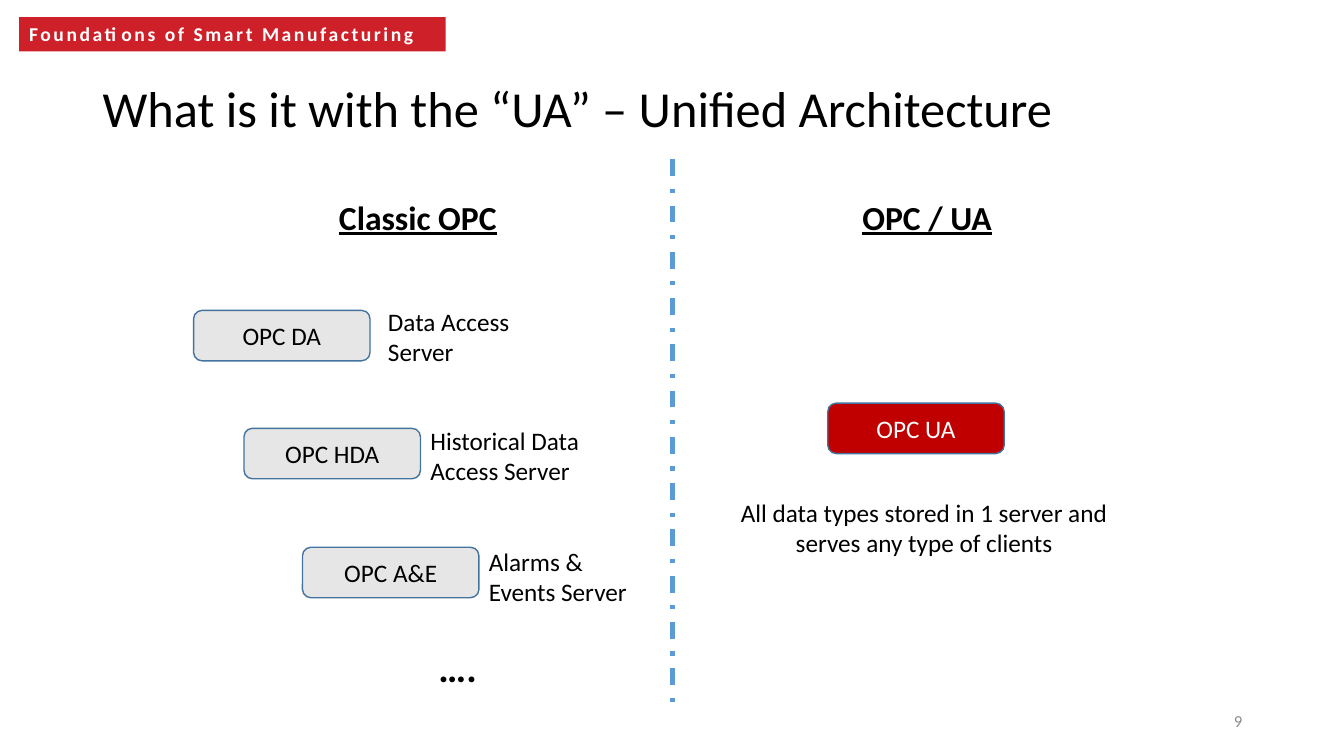
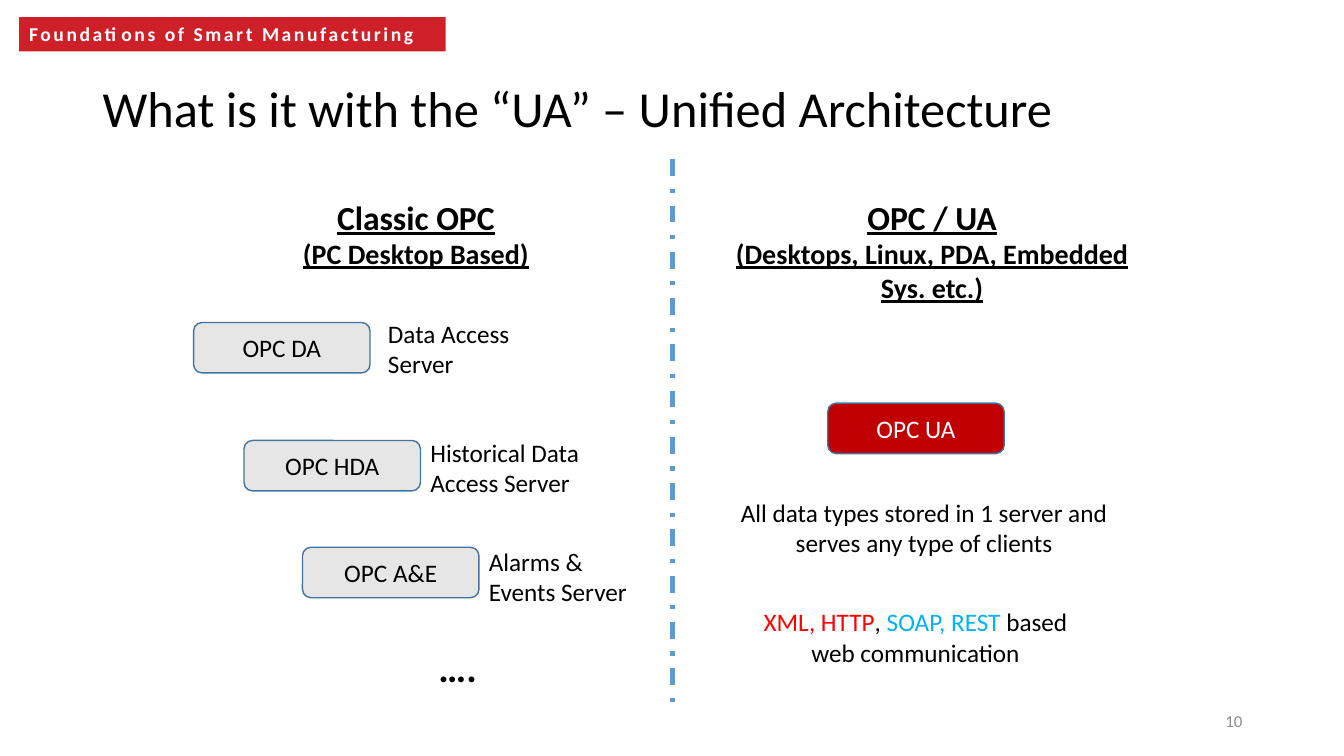
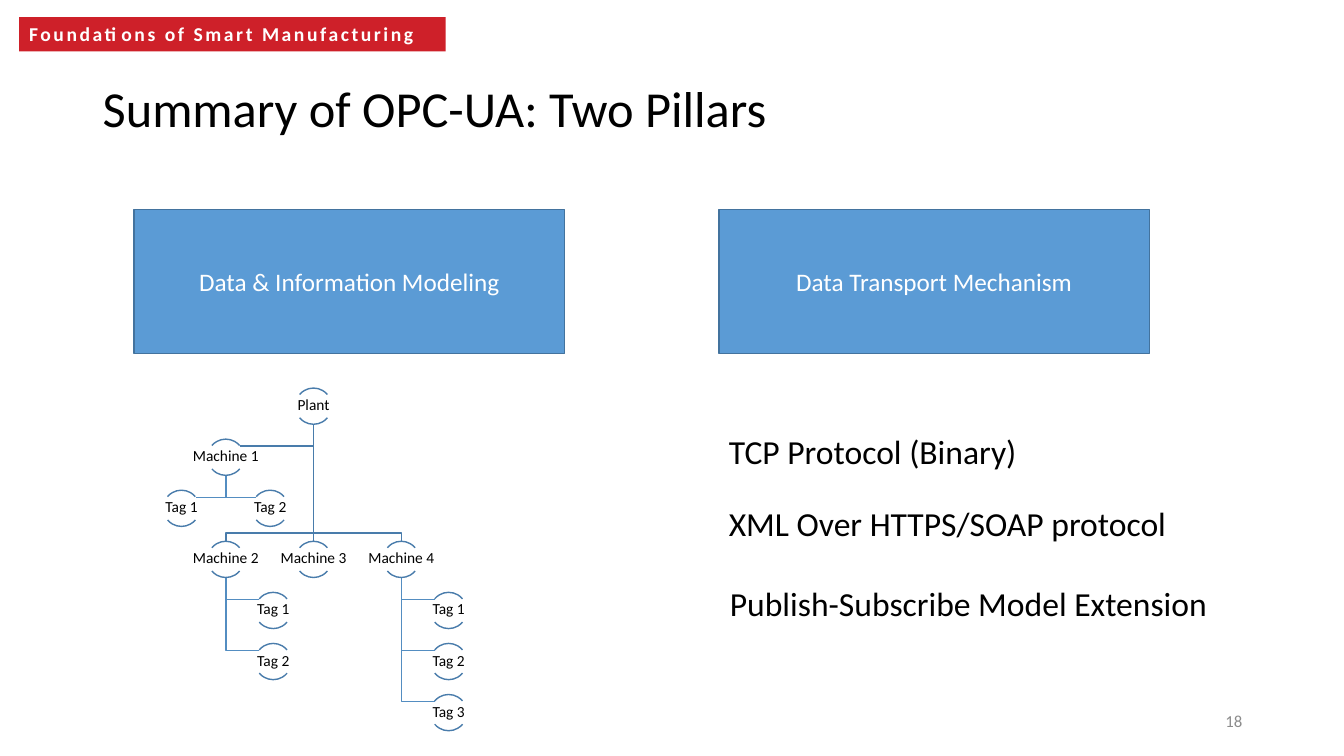
from lxml import etree
from pptx import Presentation
from pptx.dml.color import RGBColor
from pptx.enum import dml, shapes, text
from pptx.oxml.ns import qn
from pptx.util import Inches, Pt

BLACK = RGBColor(0x00, 0x00, 0x00)
WHITE = RGBColor(0xFF, 0xFF, 0xFF)
CRIMSON = RGBColor(0xCE, 0x20, 0x29)
MAROON = RGBColor(0xC0, 0x00, 0x00)
RED = RGBColor(0xFF, 0x00, 0x00)
CYAN = RGBColor(0x00, 0xB0, 0xF0)
BLUE = RGBColor(0x5B, 0x9B, 0xD5)
EDGE = RGBColor(0x43, 0x73, 0x9E)
NODE = RGBColor(0x49, 0x7C, 0xAB)
TWIG = RGBColor(0x53, 0x8D, 0xC1)
SILVER = RGBColor(0xE7, 0xE6, 0xE6)
GRAY = RGBColor(0x8C, 0x8C, 0x8C)
FONT = "Calibri"

KIND = shapes.MSO_SHAPE
LEFT, MID, RIGHT = text.PP_ALIGN.LEFT, text.PP_ALIGN.CENTER, text.PP_ALIGN.RIGHT
TOP, CENTER = text.MSO_ANCHOR.TOP, text.MSO_ANCHOR.MIDDLE

COURSE = "Foundations of Smart Manufacturing"
UA_TITLE = "What is it with the “UA” – Unified Architecture"

# server, box left, label, label left, label rise above the box
SERVERS = [
    ("OPC DA", 1.92, "Data Access Server", 3.75, 0.09),
    ("OPC HDA", 2.42, "Historical Data Access Server", 4.17, 0.08),
    ("OPC A&E", 3, "Alarms & Events Server", 4.75, 0.06),
]
SMALL = {"size": 20}
COMPARE = [
    {"num": "9", "tops": (3.08, 4.25, 5.43),
     "heads": [((2.98, 1.9, 2.33, 0.5), ["Classic OPC"]),
               ((8.03, 1.9, 2.33, 0.5), ["OPC / UA"])],
     "web": None},
    {"num": "10", "tops": (3.2, 4.37, 5.43),
     "heads": [((2, 1.9, 4.25, 0.84),
                ["Classic OPC", [("(PC Desktop Based)", SMALL)]]),
               ((7.08, 1.9, 4.33, 1.18),
                ["OPC / UA",
                 [("(Desktops, Linux, PDA, Embedded Sys. etc.)", SMALL)]])],
     "web": [("XML, HTTP", {"color": RED}), (", ", {}),
             ("SOAP, REST ", {"color": CYAN}),
             ("based web communication", {})]},
]
PILLARS = [("Data & Information Modeling", 1.33),
           ("Data Transport Mechanism", 7.13)]
MODES = [("TCP Protocol (Binary)", 7.13, 4.23, 3.81),
         ("XML Over HTTPS/SOAP protocol", 7.13, 4.94, 4.56),
         ("Publish-Subscribe Model Extension", 7.14, 5.73, 5.55)]

# label, centre x, row, index of parent, side of the node that the link meets
COL, HALF, HANG, ROOT = 0.87, 0.44, 0.47, 3.11
WEST, EAST = ROOT - COL, ROOT + COL
TREE = [
    ("Plant", ROOT, 0, None, None),
    ("Machine 1", WEST, 1, 0, "right"),
    ("Tag 1", WEST - HALF, 2, 1, "right"),
    ("Tag 2", WEST + HALF, 2, 1, "left"),
    ("Machine 2", WEST, 3, 0, "top"),
    ("Machine 3", ROOT, 3, 0, "top"),
    ("Machine 4", EAST, 3, 0, "top"),
    ("Tag 1", WEST + HANG, 4, 4, "left"),
    ("Tag 2", WEST + HANG, 5, 4, "left"),
    ("Tag 1", EAST + HANG, 4, 6, "left"),
    ("Tag 2", EAST + HANG, 5, 6, "left"),
    ("Tag 3", EAST + HANG, 6, 6, "left"),
]
RING = 0.36
ARCS = [(132, 192), (24, 84)]


def write(slide, at, lines, kind=None, fill=None, edge=None, size=18,
          color=BLACK, bold=False, under=False, align=LEFT, anchor=TOP,
          inset=None, lead=None, track=None):
    """Add a text box, or a shape of the given kind; a line is a str or runs."""
    box = [Inches(v) for v in at]
    if kind is None:
        item = slide.shapes.add_textbox(*box)
    else:
        item = slide.shapes.add_shape(kind, *box)
        paint(item, fill, edge)
    frame = item.text_frame
    frame.word_wrap = True
    frame.vertical_anchor = anchor
    if inset is not None:
        frame.margin_left = frame.margin_right = Inches(inset)
        frame.margin_top = frame.margin_bottom = Inches(inset)
    for i, line in enumerate(lines):
        para = frame.paragraphs[0] if i == 0 else frame.add_paragraph()
        para.alignment = align
        if lead:
            para.line_spacing = lead
        for words, own in [(line, {})] if isinstance(line, str) else line:
            run = para.add_run()
            run.text = words
            font = run.font
            font.name = FONT
            font.size = Pt(own.get("size", size))
            font.bold = bold
            font.underline = under
            font.color.rgb = own.get("color", color)
            if track:
                run._r.get_or_add_rPr().set("spc", str(int(track * 100)))
    return item


def paint(item, fill, edge):
    item.shadow.inherit = False
    if fill is None:
        item.fill.background()
    else:
        item.fill.solid()
        item.fill.fore_color.rgb = fill
    if edge is None:
        item.line.fill.background()
    else:
        item.line.color.rgb = edge
        item.line.width = Pt(1)


def rule(slide, start, end, color, width=1, dash=None):
    ends = [Inches(v) for v in (*start, *end)]
    line = slide.shapes.add_connector(shapes.MSO_CONNECTOR.STRAIGHT, *ends)
    line.line.color.rgb = color
    line.line.width = Pt(width)
    if dash:
        line.line.dash_style = dash
    etree.SubElement(line._element.spPr, qn("a:effectLst"))


def trace(slide, points, color):
    """Draw an open outline through the points."""
    pts = [(Inches(x), Inches(y)) for x, y in points]
    pen = slide.shapes.build_freeform(*pts[0])
    pen.add_line_segments(pts[1:], close=False)
    paint(pen.convert_to_shape(), None, color)


def start(deck, title, num):
    """Add a slide with the course band, title and number."""
    slide = deck.slides.add_slide(deck.slide_layouts[6])
    write(slide, (0.19, 0.17, 4.23, 0.34), [COURSE], kind=KIND.RECTANGLE,
          fill=CRIMSON, size=14, color=WHITE, bold=True, track=1.8)
    write(slide, (0.92, 0.71, 11.5, 0.79), [title], size=36,
          anchor=CENTER, lead=0.9)
    write(slide, (9.42, 6.95, 3, 0.4), [num], size=12, color=GRAY,
          align=RIGHT, anchor=CENTER)
    return slide


def server(slide, name, left, top, fill, color):
    write(slide, (left, top, 1.75, 0.5), [name], kind=KIND.ROUNDED_RECTANGLE,
          fill=fill, edge=EDGE, color=color, align=MID, anchor=CENTER)


def compare(deck, page):
    slide = start(deck, UA_TITLE, page["num"])
    for (name, left, label, side, rise), top in zip(SERVERS, page["tops"]):
        server(slide, name, left, top, SILVER, BLACK)
        write(slide, (side, top - rise, 1.83, 0.71), [label])
    write(slide, (4.25, 6.33, 1.25, 0.57), ["…."], size=28, bold=True)
    rule(slide, (6.67, 1.58), (6.67, 7), BLUE, 3, dml.MSO_LINE.DASH_DOT)
    for at, lines in page["heads"]:
        write(slide, at, lines, size=24, bold=True, under=True, align=MID)
    server(slide, "OPC UA", 8.21, 4, MAROON, WHITE)
    write(slide, (7.08, 4.88, 4.17, 0.71),
          ["All data types stored in 1 server and serves any type of clients"],
          align=MID)
    if page["web"]:
        write(slide, (7.33, 5.97, 3.5, 0.71), [page["web"]], align=MID)


def level(row):
    """Top of a row of the tree, seven rows in all."""
    return 3.85 + row * (6.89 - 3.85) / 6


def link(slide, node):
    _, x, row, up, side = node
    _, px, prow, _, _ = TREE[up]
    base, top = level(prow) + RING, level(row)
    color = TWIG if up else NODE
    if side == "top" and x == px:
        rule(slide, (px, base), (x, top), color)
    elif side == "top":
        bend = top - 0.08
        trace(slide, [(px, base), (px, bend), (x, bend), (x, top)], color)
    else:
        bend = top + 0.07
        end = x + (0.14 if side == "right" else -0.14)
        trace(slide, [(px, base), (px, bend), (end, bend)], color)


def tree(slide):
    for node in TREE[1:]:
        link(slide, node)
    for label, x, row, _, _ in TREE:
        top = level(row)
        for turn in ARCS:
            box = [Inches(v) for v in (x - RING / 2, top, RING, RING)]
            arc = slide.shapes.add_shape(KIND.ARC, *box)
            arc.adjustments[0], arc.adjustments[1] = turn
            paint(arc, None, NODE)
        write(slide, (x - RING, top + 0.06, 2 * RING, 0.23), [label], size=11,
              align=MID, anchor=CENTER, inset=0.01, lead=0.9)


def summary(deck):
    slide = start(deck, "Summary of OPC-UA: Two Pillars", "18")
    for name, left in PILLARS:
        write(slide, (left, 2.08, 4.27, 1.43), [name], kind=KIND.RECTANGLE,
              fill=BLUE, edge=EDGE, color=WHITE, align=MID, anchor=CENTER)
    tree(slide)
    for name, left, top, width in MODES:
        write(slide, (left, top, width, 0.5), [name], size=24)


def main():
    deck = Presentation()
    deck.slide_width, deck.slide_height = Inches(13.33), Inches(7.5)
    for page in COMPARE:
        compare(deck, page)
    summary(deck)
    deck.save("out.pptx")


if __name__ == "__main__":
    main()
